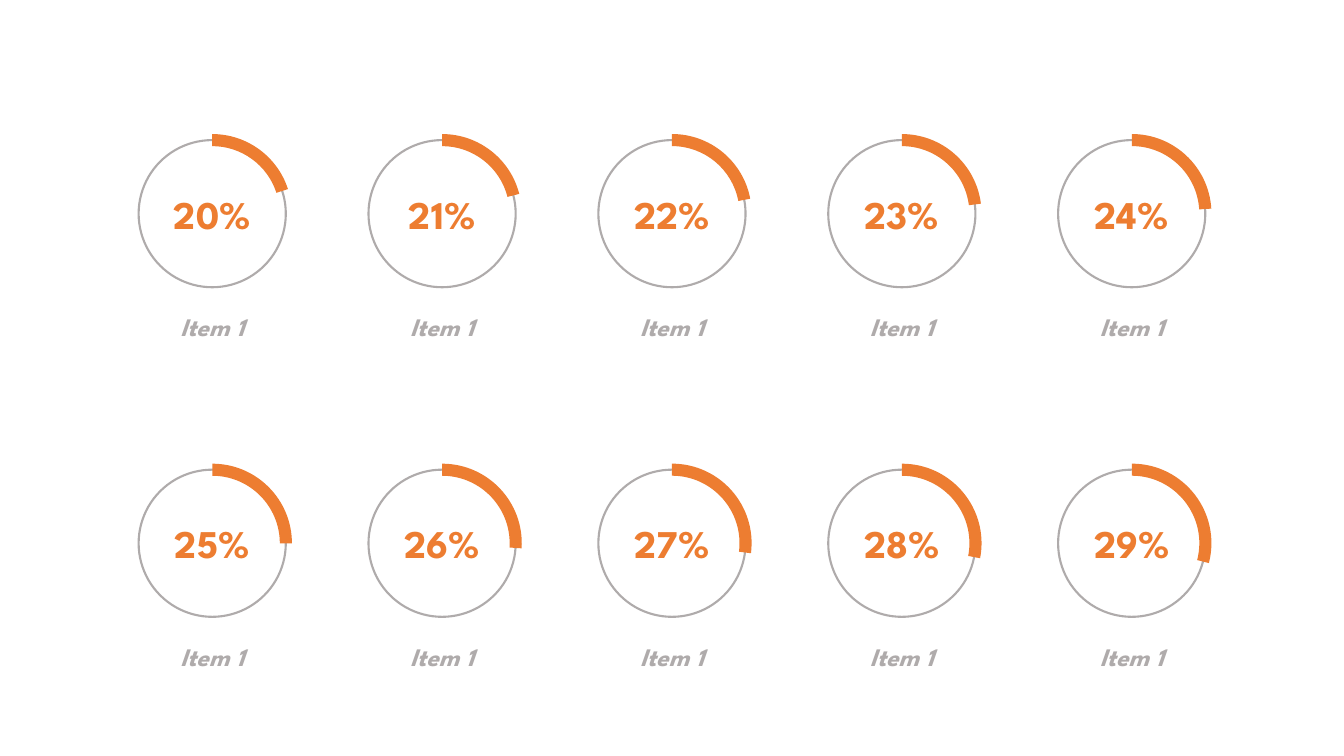
"""Build a slide with a grid of ten percentage dials."""
import dataclasses
import math

import pptx
import pptx.dml.color
import pptx.enum.shapes
import pptx.enum.text
import pptx.oxml.ns
import pptx.oxml.xmlchemy
import pptx.util


@dataclasses.dataclass(frozen=True)
class Theme:
    """Colours, font and type sizes of the slide."""
    accent: str = "ED7D31"
    muted: str = "AFABAB"
    font: str = "League Spartan"
    percent_size: int = 28
    label_size: int = 18
    ring_line: float = 1.5


THEME = Theme()
WIDTH, HEIGHT = 13.33, 7.5
COLUMNS, ROWS = 5, 2
COLUMN_STEP, ROW_STEP = 2.28, 3.27
FIRST_ROW = 2.12
RING_RADIUS = 0.73
ARC_OUTER, ARC_INNER = 0.79, 0.67
PERCENT_BOX = (1.5, 0.57)
LABEL_BOX = (2.24, 0.4)
LABEL_DROP = 1.12
FIRST_PERCENT = 20


def colour(value):
    """Return the colour object for a hex value."""
    return pptx.dml.color.RGBColor.from_string(value)


def set_values(target, values):
    """Set each named attribute on the target."""
    for name, value in values.items():
        setattr(target, name, value)


def centred_box(x, y, width, height):
    """Return left, top, width and height of a box centred on a point."""
    return [pptx.util.Inches(length)
            for length in (x - width / 2, y - height / 2, width, height)]


def add_ring(group, x, y):
    """Add the thin circle of a dial."""
    box = centred_box(x, y, 2 * RING_RADIUS, 2 * RING_RADIUS)
    ring = group.shapes.add_shape(pptx.enum.shapes.MSO_SHAPE.OVAL, *box)
    ring.shadow.inherit = False
    ring.fill.background()
    ring.line.color.rgb = colour(THEME.muted)
    ring.line.width = pptx.util.Pt(THEME.ring_line)


def add_text(group, x, y, size, text, font_values, text_colour):
    """Add one centred line of text around a point."""
    frame = group.shapes.add_textbox(*centred_box(x, y, *size)).text_frame
    set_values(frame, {
        "word_wrap": True,
        "auto_size": pptx.enum.text.MSO_AUTO_SIZE.SHAPE_TO_FIT_TEXT,
    })
    paragraph = frame.paragraphs[0]
    paragraph.alignment = pptx.enum.text.PP_ALIGN.CENTER
    run = paragraph.add_run()
    run.text = text
    set_values(run.font, {"name": THEME.font, "bold": True, **font_values})
    run.font.color.rgb = colour(text_colour)


def arc_points(x, y, radius, percent):
    """Return the four Bezier points of a clockwise arc from the top."""
    angle = math.tau * percent / 100
    handle = radius * 4 / 3 * math.tan(angle / 4)
    sine, cosine = math.sin(angle), math.cos(angle)
    offsets = [
        (0, -radius),
        (handle, -radius),
        (radius * sine - handle * cosine, -radius * cosine - handle * sine),
        (radius * sine, -radius * cosine),
    ]
    return [(pptx.util.Inches(x + across), pptx.util.Inches(y + down))
            for across, down in offsets]


def merge_into_curve(segments):
    """Turn three line segments into one cubic curve."""
    curve = segments[0].makeelement(pptx.oxml.ns.qn("a:cubicBezTo"))
    segments[0].addprevious(curve)
    for segment in segments:
        curve.append(segment[0])
        segment.getparent().remove(segment)


def add_arc(group, x, y, percent):
    """Add the thick band that shows the share."""
    outer = arc_points(x, y, ARC_OUTER, percent)
    inner = arc_points(x, y, ARC_INNER, percent)
    builder = group.shapes.build_freeform(*outer[0])
    builder.add_line_segments(outer[1:] + inner[::-1], close=True)
    band = builder.convert_to_shape()
    segments = list(band.element.iter(pptx.oxml.ns.qn("a:lnTo")))
    merge_into_curve(segments[:3])
    merge_into_curve(segments[4:7])
    band.shadow.inherit = False
    band.fill.solid()
    band.fill.fore_color.rgb = colour(THEME.accent)
    band.line.fill.background()


def add_dial(slide, x, y, percent, label):
    """Add a grouped ring, percentage, label and band."""
    group = slide.shapes.add_group_shape()
    add_ring(group, x, y)
    add_text(group, x, y, PERCENT_BOX, f"{percent}%",
             {"size": pptx.util.Pt(THEME.percent_size)}, THEME.accent)
    add_text(group, x, y + LABEL_DROP, LABEL_BOX, label,
             {"size": pptx.util.Pt(THEME.label_size), "italic": True}, THEME.muted)
    add_arc(group, x, y, percent)


def main():
    """Create the presentation and save it."""
    presentation = pptx.Presentation()
    set_values(presentation, {"slide_width": pptx.util.Inches(WIDTH),
                              "slide_height": pptx.util.Inches(HEIGHT)})
    slide = presentation.slides.add_slide(presentation.slide_layouts[6])
    for index in range(COLUMNS * ROWS):
        row, column = divmod(index, COLUMNS)
        x = WIDTH / 2 + (column - (COLUMNS - 1) / 2) * COLUMN_STEP
        y = FIRST_ROW + row * ROW_STEP
        add_dial(slide, x, y, FIRST_PERCENT + index, "Item 1")
    presentation.save("out.pptx")


if __name__ == "__main__":
    main()
